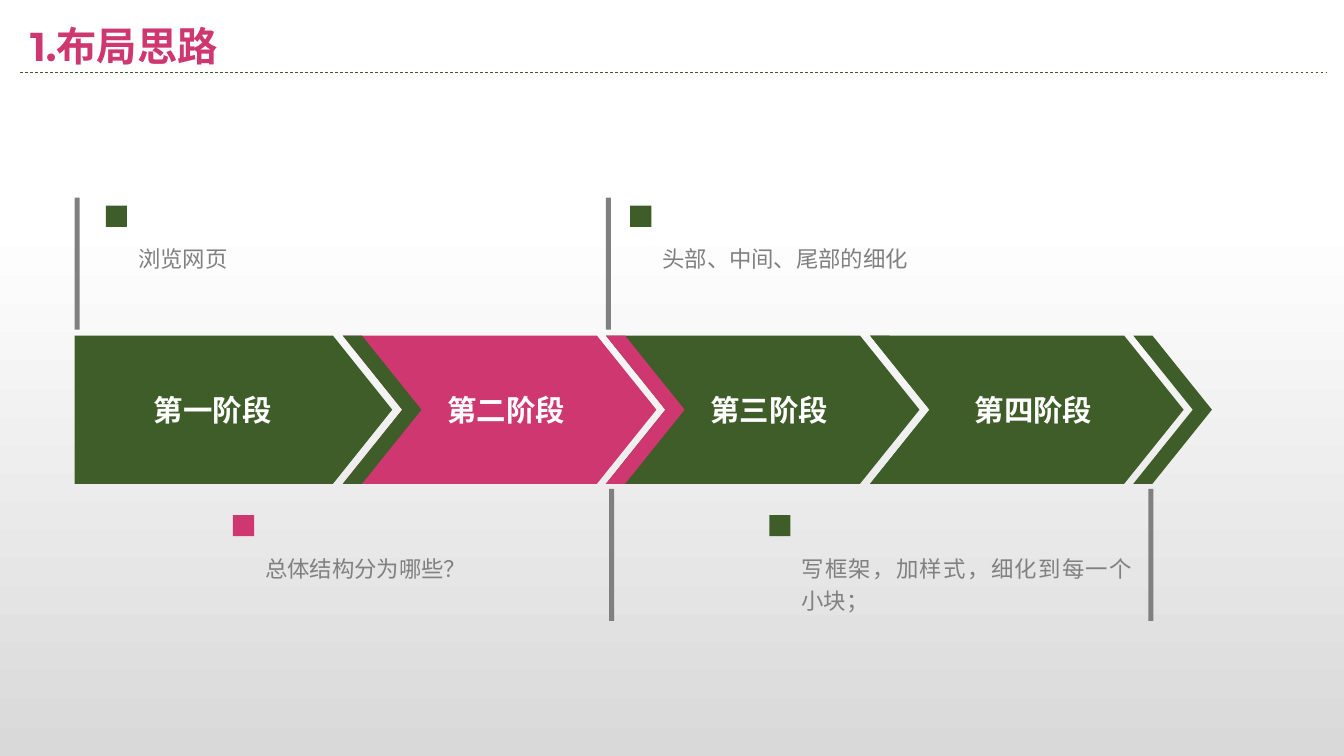
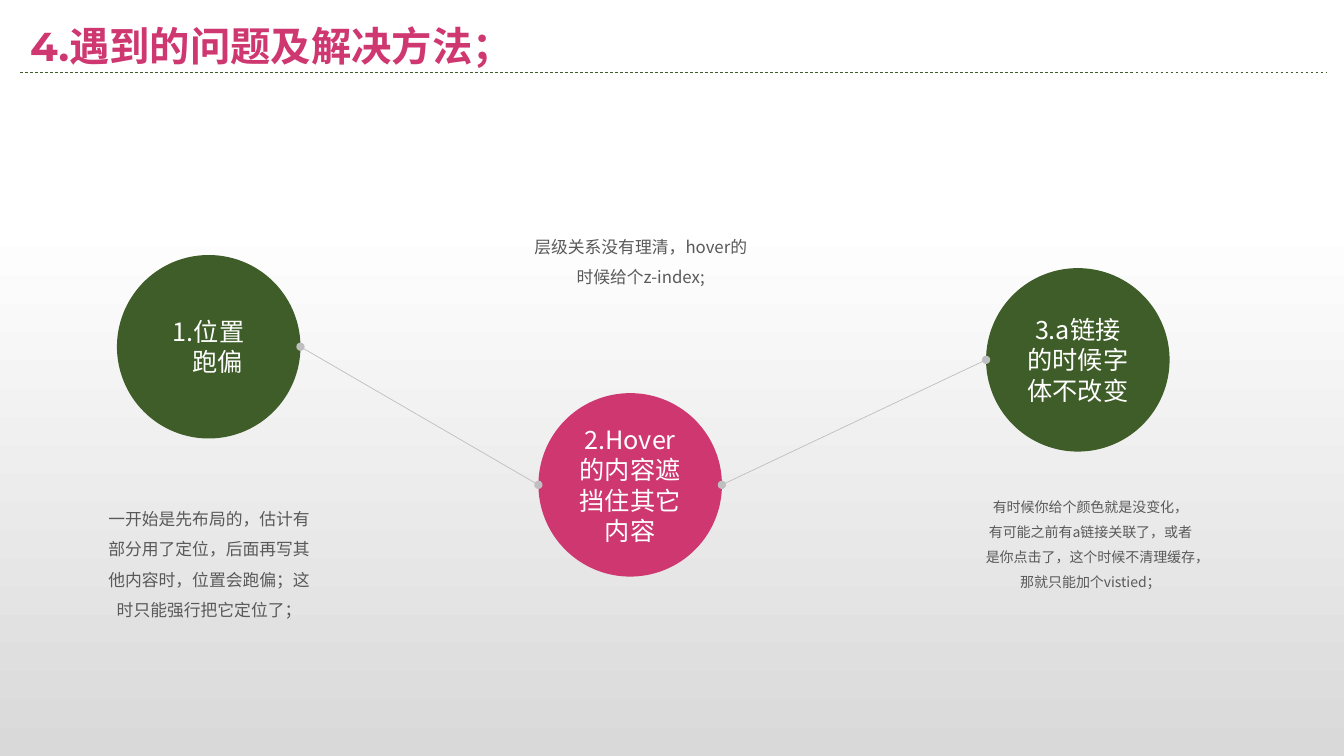
import pptx
import pptx.util
import pptx.dml.color
import pptx.enum.dml
import pptx.enum.shapes
import pptx.enum.text
import pptx.oxml.ns
from lxml import etree

Inches = pptx.util.Inches
Pt = pptx.util.Pt
Kind = pptx.enum.shapes.MSO_SHAPE
Align = pptx.enum.text.PP_ALIGN
Anchor = pptx.enum.text.MSO_ANCHOR
tag = pptx.oxml.ns.qn
tint = pptx.dml.color.RGBColor.from_string

GREEN, PINK, WHITE = "3F5D28", "CE3770", "FFFFFF"
GREY, SILVER, DARK = "808080", "BFBFBF", "595959"
SANS = "Noto Sans CJK SC"


def paint(shape, hue):
    shape.shadow.inherit = False
    shape.fill.solid()
    shape.fill.fore_color.rgb = tint(hue)
    shape.line.fill.background()


def write(shape, text, size, hue, align=Align.CENTER, gap=1.0, pad=(0.1, 0.05),
          anchor=Anchor.TOP, bold=False, face=SANS):
    frame = shape.text_frame
    frame.word_wrap = True
    frame.vertical_anchor = anchor
    frame.margin_left = frame.margin_right = Inches(pad[0])
    frame.margin_top = frame.margin_bottom = Inches(pad[1])
    frame.text = text
    for para in frame.paragraphs:
        para.alignment = align
        para.line_spacing = gap
        for run in para.runs:
            font = run.font
            font.size = Pt(size)
            font.bold = bold
            font.color.rgb = tint(hue)
            font.name = face
            etree.SubElement(run._r.get_or_add_rPr(), tag("a:ea"), typeface=SANS)


deck = pptx.Presentation()
deck.slide_width = Inches(13.33)
deck.slide_height = Inches(7.5)

slides = []
lines = []
for title in ["1.布局思路", "4.遇到的问题及解决方法；"]:
    slide = deck.slides.add_slide(deck.slide_layouts[6])
    back = slide.background.fill
    back.gradient()
    back.gradient_angle = 270
    for stop, (place, hue) in zip(back.gradient_stops, [(0.29, WHITE), (1, "D9D9D9")]):
        stop.position = place
        stop.color.rgb = tint(hue)
    box = slide.shapes.add_textbox(Inches(0.2), Inches(0.25), Inches(11.5), Inches(0.47))
    write(box, title, 28.8, PINK, Align.LEFT, 0.9, anchor=Anchor.MIDDLE,
          bold=True, face="Montserrat")
    lines.append((slide, 0.2, 0.72, 13.16, 0.72, GREEN, False))
    slides.append(slide)

plan, issues = slides

top, high, notch = 3.33, 1.47, 0.59
first = plan.shapes.add_shape(Kind.PENTAGON, Inches(0.74), Inches(top), Inches(3.15), Inches(high))
first.adjustments[0] = 0.4
paint(first, GREEN)

last = GREEN
for left, hue in [(3.4, PINK), (6.01, GREEN), (8.63, GREEN), (11.24, None)]:
    for width, fill in [(2.52, hue), (0.19, last)]:
        if fill is None:
            continue
        points = [(left + width, top), (left + width + notch, top + high / 2),
                  (left + width, top + high), (left, top + high),
                  (left + notch, top + high / 2)]
        path = plan.shapes.build_freeform(Inches(left), Inches(top))
        path.add_line_segments([(Inches(x), Inches(y)) for x, y in points])
        paint(path.convert_to_shape(), fill)
    last = hue

for left, label in [(1.27, "第一阶段"), (4.18, "第二阶段"), (6.79, "第三阶段"), (9.41, "第四阶段")]:
    box = plan.shapes.add_textbox(Inches(left), Inches(3.82), Inches(1.68), Inches(0.49))
    write(box, label, 21, WHITE, pad=(0.13, 0.07), bold=True)

for left, y in [(0.74, 1.96), (6.01, 1.96), (11.39, 4.85), (6.04, 4.85)]:
    bar = plan.shapes.add_shape(Kind.RECTANGLE, Inches(left), Inches(y), Inches(0.05), Inches(1.31))
    paint(bar, GREY)

notes = [
    (1.05, 2.04, 0.43, GREEN, "浏览网页"),
    (6.25, 2.04, 0.43, GREEN, "头部、中间、尾部的细化"),
    (7.63, 5.11, 0.78, GREEN, "写框架，加样式，细化到每一个小块；"),
    (2.31, 5.11, 0.43, PINK, "总体结构分为哪些？"),
]
for left, y, tall, hue, text in notes:
    box = plan.shapes.add_textbox(Inches(left + 0.19), Inches(y + 0.27), Inches(3.54), Inches(tall))
    write(box, text, 16, GREY, Align.JUSTIFY, 1.2, (0.13, 0.07))
    mark = plan.shapes.add_shape(Kind.RECTANGLE, Inches(left), Inches(y), Inches(0.21), Inches(0.21))
    paint(mark, hue)

size = 1.82
spots = [
    (1.16, 2.53, GREEN, "1.位置\n跑偏"),
    (5.34, 3.9, PINK, "2.Hover的内容遮挡住其它内容"),
    (9.78, 2.66, GREEN, "3.a链接的时候字体不改变"),
]
discs = []
for left, y, hue, text in spots:
    disc = issues.shapes.add_shape(Kind.OVAL, Inches(left), Inches(y), Inches(size), Inches(size))
    paint(disc, hue)
    write(disc, text, 18, WHITE, anchor=Anchor.MIDDLE)
    discs.append(disc)
shift = discs[0].text_frame.paragraphs[1]._p.get_or_add_pPr()
shift.set("marL", str(Inches(0.17)))

for start, end in zip(spots, spots[1:]):
    lines.append((issues, start[0] + size, start[1] + size / 2,
                  end[0], end[1] + size / 2, SILVER, True))

texts = [
    (0.91, 4.9, 1.28, 12, "一开始是先布局的，估计有部分用了定位，后面再写其他内容时，位置会跑偏；这时只能强行把它定位了；"),
    (5.19, 2.2, 0.67, 12, "层级关系没有理清，hover的时候给个z-index;"),
    (9.65, 4.81, 1.11, 10, "有时候你给个颜色就是没变化，\n有可能之前有a链接关联了，或者是你点击了，这个时候不清理缓存，那就只能加个vistied；"),
]
for left, y, tall, points, text in texts:
    box = issues.shapes.add_textbox(Inches(left), Inches(y), Inches(2.33), Inches(tall))
    write(box, text, points, DARK, gap=1.5)

for slide, x1, y1, x2, y2, hue, dots in lines:
    link = slide.shapes.add_connector(pptx.enum.shapes.MSO_CONNECTOR.STRAIGHT,
                                      Inches(x1), Inches(y1), Inches(x2), Inches(y2))
    link.line.color.rgb = tint(hue)
    link.line.width = Pt(0.5)
    if dots:
        for end in ["a:headEnd", "a:tailEnd"]:
            etree.SubElement(link.line._get_or_add_ln(), tag(end), type="oval")
    else:
        link.line.dash_style = pptx.enum.dml.MSO_LINE.DASH
    etree.SubElement(link._element.spPr, tag("a:effectLst"))

deck.save("out.pptx")
